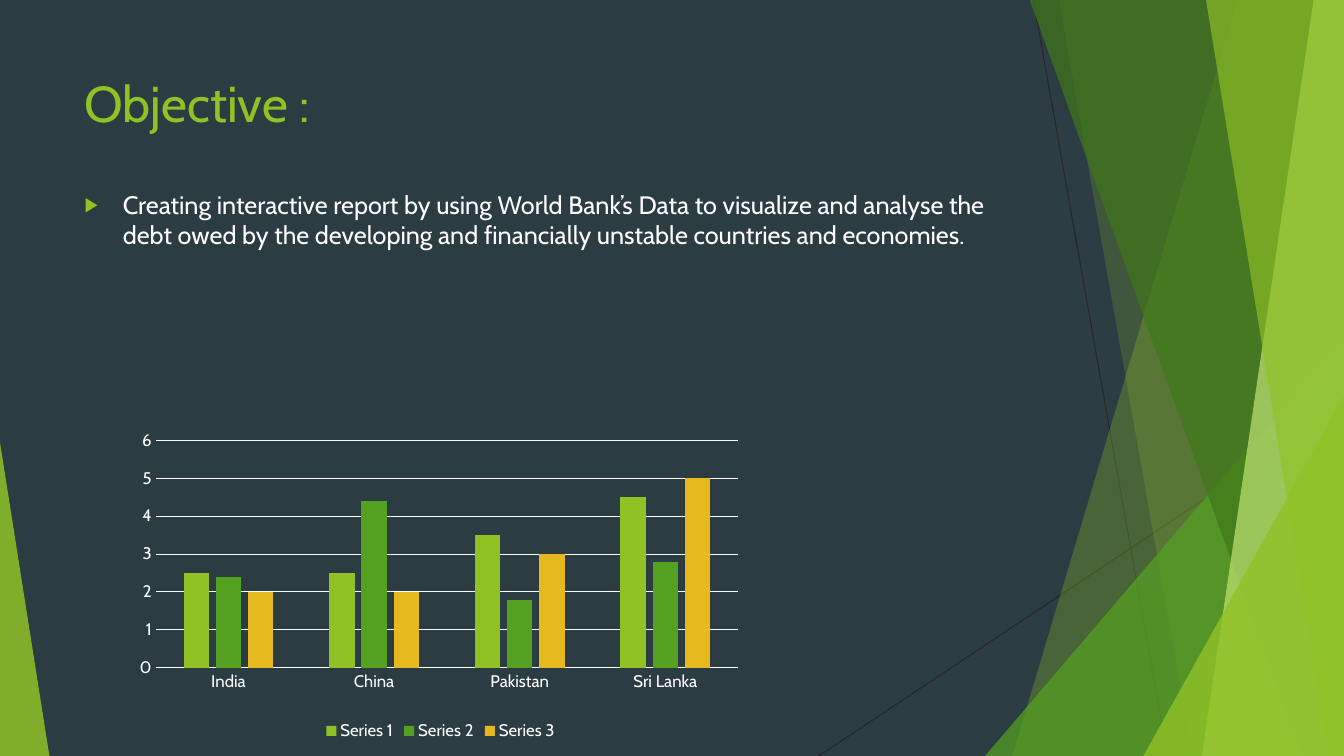
from lxml.etree import SubElement
from pptx import Presentation
from pptx.chart.data import CategoryChartData
from pptx.dml.color import RGBColor
from pptx.enum.chart import XL_CHART_TYPE, XL_LEGEND_POSITION, XL_TICK_MARK
from pptx.enum.shapes import MSO_CONNECTOR, MSO_SHAPE
from pptx.enum.text import MSO_ANCHOR, PP_ALIGN
from pptx.oxml import parse_xml
from pptx.oxml.ns import nsdecls, qn
from pptx.util import Pt

PX = 9144
FONT = "Cabin"
COLORS = {
    "background": "2C3C43",
    "line": "262626",
    "lime": "90C226",
    "green": "54A021",
    "forest": "3F7819",
    "pale": "C0E474",
    "gold": "E6B91E",
    "white": "FFFFFF",
}
COUNTRIES = ["India", "China", "Pakistan", "Sri Lanka"]
SERIES = [
    ("Series 1", [2.5, 2.5, 3.5, 4.5], "lime"),
    ("Series 2", [2.4, 4.4, 1.8, 2.8], "green"),
    ("Series 3", [2, 2, 3, 5], "gold"),
]


def px(*lengths):
    """Turn pixel lengths into EMU."""
    return [length * PX for length in lengths]


def color(name):
    """Look up a named colour."""
    return RGBColor.from_string(COLORS[name])


def style_font(font, size, color_name="white"):
    """Set typeface, size and colour of a font."""
    font.name = FONT
    font.size = Pt(size)
    font.color.rgb = color(color_name)


def paint(shape, color_name, opacity):
    """Give a shape a translucent fill and no outline or shadow."""
    shape.shadow.inherit = False
    shape.line.fill.background()
    shape.fill.solid()
    shape.fill.fore_color.rgb = color(color_name)
    fill_color = shape.fill._xPr.find(".//" + qn("a:srgbClr"))
    SubElement(fill_color, qn("a:alpha"), val=str(opacity * 1000))


def add_line(slide, *ends):
    """Draw a thin dark line between two points."""
    line = slide.shapes.add_connector(MSO_CONNECTOR.STRAIGHT, *px(*ends))
    line.line.color.rgb = color("line")
    line.line.width = Pt(0.75)
    SubElement(line._element.spPr, qn("a:effectLst"))


def add_band(slide, top_left, bottom_left, color_name, opacity):
    """Draw a slanted band that reaches the right edge of the slide."""
    builder = slide.shapes.build_freeform(top_left, -1, scale=PX)
    builder.add_line_segments([(1333, -1), (1333, 750), (bottom_left, 750)], close=True)
    paint(builder.convert_to_shape(), color_name, opacity)


def add_triangle(slide, left, top, width, apex, color_name, opacity):
    """Draw a triangle that stands on the bottom of the slide."""
    box = px(left, top, width, 750 - top)
    triangle = slide.shapes.add_shape(MSO_SHAPE.ISOSCELES_TRIANGLE, *box)
    triangle.adjustments[0] = apex
    paint(triangle, color_name, opacity)


def add_text(slide, box, text, size, color_name):
    """Add a wrapped text box and return its paragraph."""
    text_frame = slide.shapes.add_textbox(*px(*box)).text_frame
    text_frame.word_wrap = True
    text_frame.vertical_anchor = MSO_ANCHOR.TOP
    text_frame.text = text
    paragraph = text_frame.paragraphs[0]
    paragraph.alignment = PP_ALIGN.LEFT
    style_font(paragraph.runs[0].font, size, color_name)
    return paragraph


def add_bullet(paragraph):
    """Give a paragraph a hanging lime arrow bullet."""
    paragraph.space_before = Pt(10)
    properties = paragraph._p.get_or_add_pPr()
    properties.set("marL", str(38 * PX))
    properties.set("indent", str(-38 * PX))
    bullet_color = SubElement(properties, qn("a:buClr"))
    SubElement(bullet_color, qn("a:srgbClr"), val=COLORS["lime"])
    SubElement(properties, qn("a:buSzPct"), val="80000")
    SubElement(properties, qn("a:buFont"), typeface="Arial")
    SubElement(properties, qn("a:buChar"), char="▶")


def place_plot(chart, **fractions):
    """Fix the inner plot area as fractions of the chart."""
    plot_area = chart._chartSpace.chart.plotArea
    for layout in plot_area.findall(qn("c:layout")):
        plot_area.remove(layout)
    sizes = "".join(f'<c:{key} val="{value}"/>' for key, value in fractions.items())
    plot_area.insert(0, parse_xml(
        f'<c:layout {nsdecls("c")}><c:manualLayout><c:layoutTarget val="inner"/>'
        f'<c:xMode val="edge"/><c:yMode val="edge"/>{sizes}</c:manualLayout></c:layout>'
    ))


def style_axes(chart):
    """Set the axis labels, lines and gridlines."""
    for axis in (chart.category_axis, chart.value_axis):
        axis.major_tick_mark = axis.minor_tick_mark = XL_TICK_MARK.NONE
        style_font(axis.tick_labels.font, 12)
    values = chart.value_axis
    values.minimum_scale, values.maximum_scale, values.major_unit = 0, 6, 1
    values.format.line.fill.background()
    for line in (chart.category_axis.format.line, values.major_gridlines.format.line):
        line.color.rgb = color("white")
        line.width = Pt(0.75)


def add_column_chart(slide, *box):
    """Add the clustered columns by country."""
    data = CategoryChartData()
    data.categories = COUNTRIES
    for name, values, _ in SERIES:
        data.add_series(name, values)
    chart = slide.shapes.add_chart(
        XL_CHART_TYPE.COLUMN_CLUSTERED, *px(*box), data
    ).chart
    style_font(chart.font, 10)
    chart.has_title = False
    chart.has_legend = True
    chart.legend.position = XL_LEGEND_POSITION.BOTTOM
    chart.legend.include_in_layout = False
    style_font(chart.legend.font, 12)
    plot = chart.plots[0]
    plot.gap_width, plot.overlap = 219, -27
    plot.vary_by_categories = False
    for series, (_, _, color_name) in zip(plot.series, SERIES):
        series.format.fill.solid()
        series.format.fill.fore_color.rgb = color(color_name)
    style_axes(chart)
    place_plot(chart, x=0.05, y=0.17, w=0.92, h=0.62)


def add_decoration(slide):
    """Draw the lines and translucent facets behind the content."""
    add_line(slide, 1025, 0, 1158, 750)
    add_line(slide, 1333, 403, 812, 750)
    add_band(slide, 1228, 1004, "lime", 30)
    add_band(slide, 1050, 1183, "lime", 20)
    add_triangle(slide, 977, 333, 356, 1, "green", 72)
    add_band(slide, 1021, 1291, "forest", 70)
    add_band(slide, 1303, 1192, "pale", 70)
    add_band(slide, 1196, 1318, "lime", 65)
    add_triangle(slide, 1134, 393, 199, 1, "lime", 80)
    add_triangle(slide, 0, 439, 49, 0, "lime", 85)


def main():
    """Build the objective slide and save it."""
    presentation = Presentation()
    presentation.slide_width, presentation.slide_height = px(1333, 750)
    slide = presentation.slides.add_slide(presentation.slide_layouts[6])
    slide.background.fill.solid()
    slide.background.fill.fore_color.rgb = color("background")
    add_decoration(slide)
    add_text(slide, (74, 67, 940, 87), "Objective :", 36, "lime")
    add_bullet(add_text(
        slide, (74, 183, 940, 164),
        "Creating interactive report by using World Bank’s Data to visualize and analyse "
        "the debt owed by the developing and financially unstable countries and economies.",
        18, "white",
    ))
    add_column_chart(slide, 123, 375, 628, 364)
    presentation.save("out.pptx")


if __name__ == "__main__":
    main()
